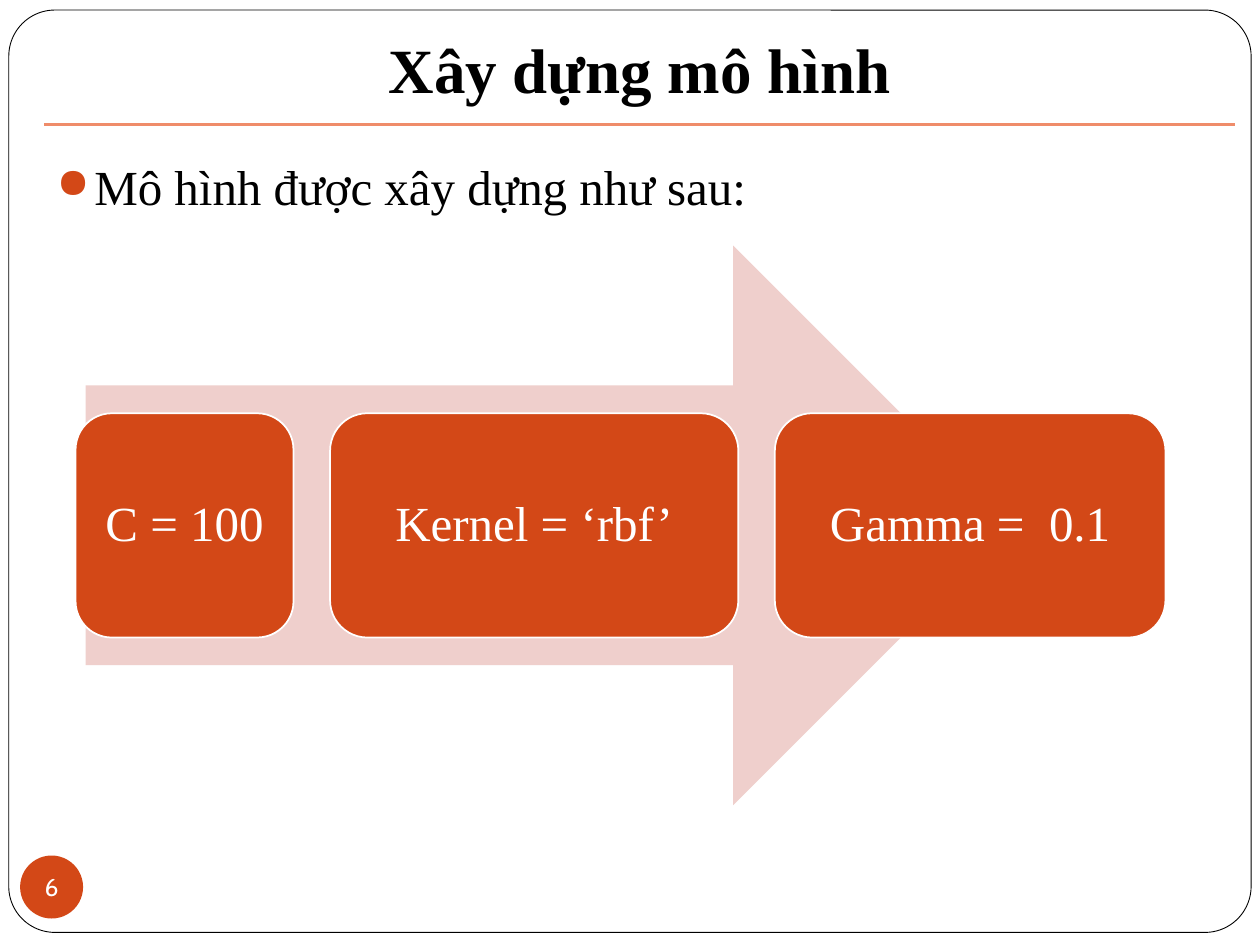
from dataclasses import dataclass

from lxml.etree import SubElement
from pptx import Presentation
from pptx.dml.color import RGBColor
from pptx.enum.shapes import MSO_CONNECTOR, MSO_SHAPE
from pptx.enum.text import MSO_ANCHOR, PP_ALIGN
from pptx.oxml.ns import qn
from pptx.shapes.autoshape import Shape
from pptx.slide import Slide
from pptx.text.text import TextFrame
from pptx.util import Inches, Pt

BLACK = RGBColor(0x00, 0x00, 0x00)
WHITE = RGBColor(0xFF, 0xFF, 0xFF)
ORANGE = RGBColor(0xD3, 0x48, 0x17)
SALMON = RGBColor(0xEF, 0x8C, 0x6A)
PINK = RGBColor(0xEF, 0xCF, 0xCC)
SERIF = "Times New Roman"

STEP_LEFT, STEP_TOP, STEP_HEIGHT, STEP_GAP = 0.6, 3.28, 1.78, 0.29


@dataclass
class Step:
    """One model parameter and the width of its box in inches."""
    label: str
    width: float


STEPS = [
    Step("C = 100", 1.73),
    Step("Kernel = ‘rbf’", 3.24),
    Step("Gamma =  0.1", 3.1),
]


def write(frame: TextFrame, text: str, size: float, color: RGBColor,
          font: str = SERIF, bold: bool = False,
          align: PP_ALIGN = PP_ALIGN.CENTER, inset: float = 0.0) -> None:
    """Set one formatted paragraph with equal insets."""
    frame.margin_left = frame.margin_right = Inches(inset)
    frame.margin_top = frame.margin_bottom = Inches(inset)
    paragraph = frame.paragraphs[0]
    paragraph.text = text
    paragraph.alignment = align
    for run in paragraph.runs:
        run.font.name = font
        run.font.size = Pt(size)
        run.font.bold = bold
        run.font.color.rgb = color


def add_block(slide: Slide, kind: MSO_SHAPE, left: float, top: float,
              width: float, height: float, fill: RGBColor,
              outline: RGBColor | None = None, weight: float = 1) -> Shape:
    """Add a flat filled shape, outlined only when a colour is given."""
    block = slide.shapes.add_shape(
        kind, Inches(left), Inches(top), Inches(width), Inches(height))
    block.shadow.inherit = False
    block.fill.solid()
    block.fill.fore_color.rgb = fill
    if outline is None:
        block.line.fill.background()
    else:
        block.line.color.rgb = outline
        block.line.width = Pt(weight)
    block.text_frame.vertical_anchor = MSO_ANCHOR.MIDDLE
    return block


def add_heading(slide: Slide) -> None:
    """Place the title on the rounded frame, with the rule below."""
    title = slide.shapes.title
    title.left, title.top = Inches(0.35), Inches(0.14)
    title.width, title.height = Inches(9.45), Inches(0.8)
    write(title.text_frame, "Xây dựng mô hình", 36, BLACK, bold=True, inset=0.1)
    title.text_frame.margin_top = Inches(0.05)
    title.text_frame.vertical_anchor = MSO_ANCHOR.BOTTOM

    border = add_block(slide, MSO_SHAPE.ROUNDED_RECTANGLE,
                       0.07, 0.08, 9.86, 7.32, WHITE, BLACK, 0.5)
    border.adjustments[0] = 0.05
    title.element.addprevious(border.element)

    rule = slide.shapes.add_connector(
        MSO_CONNECTOR.STRAIGHT, Inches(0.35), Inches(0.99), Inches(9.8), Inches(0.99))
    rule.line.color.rgb = SALMON
    rule.line.width = Pt(2)
    SubElement(rule.element.spPr, qn("a:effectLst"))


def add_intro(slide: Slide) -> None:
    """Add the bulleted sentence that introduces the model."""
    intro = slide.shapes.add_textbox(
        Inches(0.35), Inches(1.19), Inches(9.15), Inches(0.7))
    frame = intro.text_frame
    frame.word_wrap = True
    write(frame, "Mô hình được xây dựng như sau:", 28, BLACK,
          align=PP_ALIGN.LEFT, inset=0.1)
    frame.margin_top = frame.margin_bottom = Inches(0.05)
    paragraph = frame.paragraphs[0]
    paragraph.space_before = Pt(5.8)
    properties = paragraph._p.get_or_add_pPr()
    properties.set("marL", str(Inches(0.3)))
    properties.set("indent", str(Inches(-0.3)))
    bullet_color = SubElement(properties, qn("a:buClr"))
    SubElement(bullet_color, qn("a:srgbClr"), val=str(ORANGE))
    SubElement(properties, qn("a:buSzPct"), val="85000")
    SubElement(properties, qn("a:buChar"), char="●")


def add_process(slide: Slide) -> None:
    """Draw the arrow and the row of parameter boxes on it."""
    add_block(slide, MSO_SHAPE.RIGHT_ARROW, 0.68, 1.95, 7.36, 4.44, PINK)
    left = STEP_LEFT
    for step in STEPS:
        box = add_block(slide, MSO_SHAPE.ROUNDED_RECTANGLE, left, STEP_TOP,
                        step.width, STEP_HEIGHT, ORANGE, WHITE)
        write(box.text_frame, step.label, 28, WHITE, inset=0.12)
        box.text_frame.paragraphs[0].line_spacing = 0.9
        left += step.width + STEP_GAP


def add_page_number(slide: Slide) -> None:
    """Add the round page number badge."""
    badge = add_block(slide, MSO_SHAPE.OVAL, 0.16, 6.79, 0.5, 0.5, ORANGE)
    badge.text_frame.word_wrap = False
    write(badge.text_frame, "6", 14, WHITE, font="Cabin")


def main() -> None:
    """Build and save the slide."""
    presentation = Presentation()
    presentation.slide_width, presentation.slide_height = Inches(10), Inches(7.5)
    slide = presentation.slides.add_slide(presentation.slide_layouts[5])
    add_heading(slide)
    add_page_number(slide)
    add_intro(slide)
    add_process(slide)
    presentation.save("out.pptx")


main()
